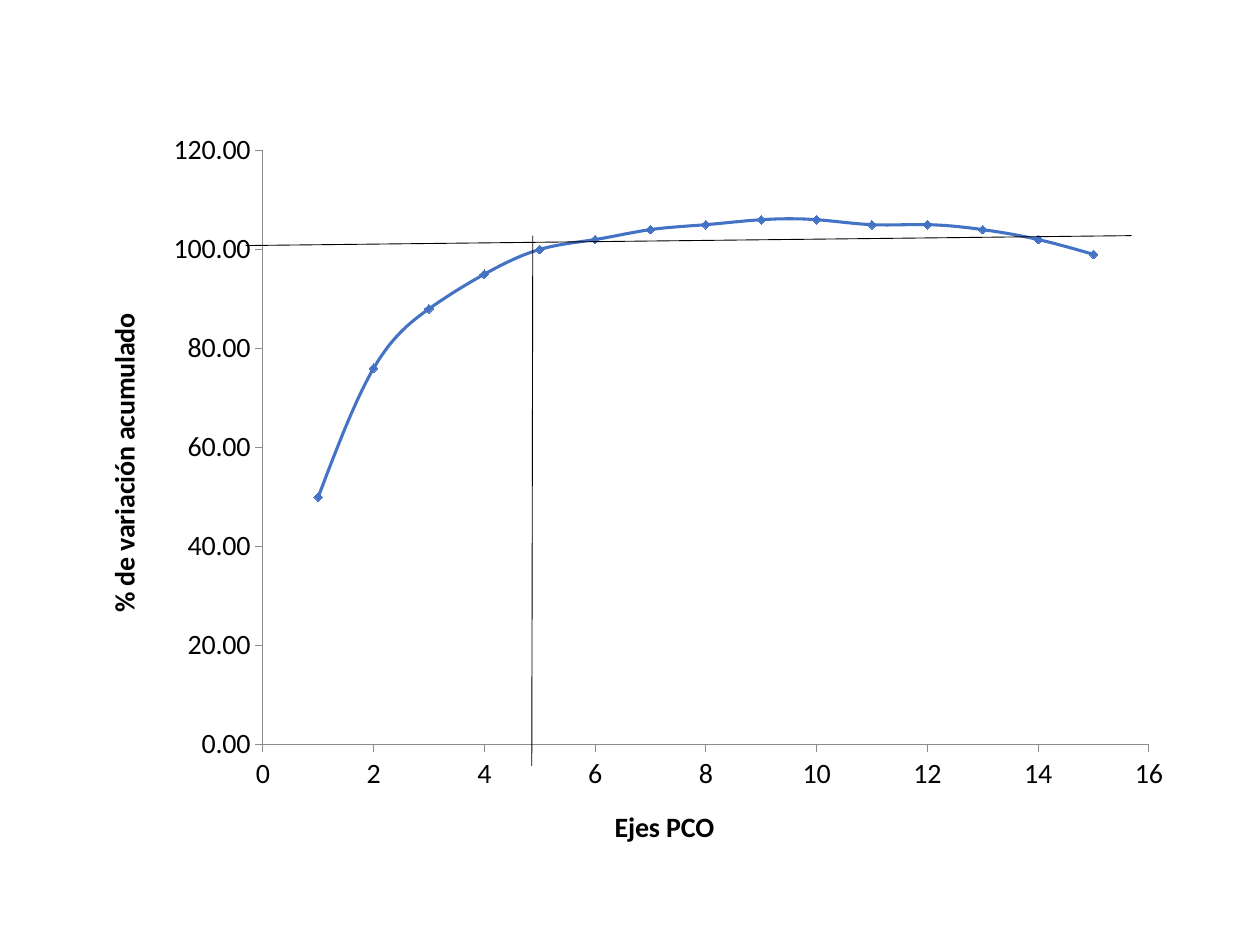
from lxml import etree
from pptx import Presentation
from pptx import util as u
from pptx.chart.data import XyChartData
from pptx.dml.color import RGBColor
from pptx.enum import chart as ch
from pptx.enum import shapes
from pptx.oxml.ns import qn

COLORS = {"text": "000000", "series": "4472C4", "axis": "8B8B8B", "guide": "000000"}
VARIATION = [50, 76, 88, 95, 100, 102, 104, 105, 106, 106, 105, 105, 104, 102, 99]


def rgb(name):
    return RGBColor.from_string(COLORS[name])


def write(tf, content, font="Calibri", size=16, bold=False, color="text"):
    p = tf.paragraphs[0]
    r = p.add_run()
    r.text = content
    r.font.name, r.font.size, r.font.bold = font, u.Pt(size), bold
    r.font.color.rgb = rgb(color)


def place(parent, index, **layout):
    for old in parent.xpath("./c:layout"):
        parent.remove(old)
    node = etree.Element(qn("c:layout"))
    manual = etree.SubElement(node, qn("c:manualLayout"))
    for tag, value in layout.items():
        etree.SubElement(manual, qn(f"c:{tag}"), val=str(value))
    parent.insert(index, node)


class SlideBuilder:
    font = "Calibri"
    size = 16

    def __init__(self, prs):
        self.s = prs.slides.add_slide(prs.slide_layouts[6])

    def axis(self, axis, title, top, step, fmt, x, y, rotation=0):
        axis.minimum_scale, axis.maximum_scale, axis.major_unit = 0, top, step
        axis.has_major_gridlines = False
        axis.major_tick_mark = ch.XL_TICK_MARK.OUTSIDE
        axis.minor_tick_mark = ch.XL_TICK_MARK.NONE
        axis.tick_labels.number_format = fmt
        axis.tick_labels.number_format_is_linked = False
        axis.format.line.color.rgb = rgb("axis")
        axis.format.line.width = u.Pt(0.5)
        tf = axis.axis_title.text_frame
        write(tf, title, self.font, self.size, bold=True)
        body = axis.axis_title.element.xpath(".//a:bodyPr")[0]
        body.set("rot", str(rotation * 60000))
        body.set("vert", "horz")
        place(axis.axis_title.element, 1, xMode="edge", yMode="edge", x=x, y=y)

    def scatter(self, values, left, top, width, height):
        data = XyChartData()
        series = data.add_series("Series 1")
        for x, y in enumerate(values, 1):
            series.add_data_point(x, y)
        chart = self.s.shapes.add_chart(
            ch.XL_CHART_TYPE.XY_SCATTER_SMOOTH, u.Cm(left), u.Cm(top),
            u.Cm(width), u.Cm(height), data).chart
        chart.has_title = chart.has_legend = False
        chart.font.name, chart.font.size = self.font, u.Pt(self.size)
        chart.font.color.rgb = rgb("text")
        plot = chart.plots[0]
        plot.vary_by_categories = False
        curve = plot.series[0]
        curve.format.line.color.rgb = rgb("series")
        curve.format.line.width = u.Pt(1.75)
        curve.marker.style = ch.XL_MARKER_STYLE.DIAMOND
        curve.marker.size = 5
        curve.marker.format.fill.solid()
        curve.marker.format.fill.fore_color.rgb = rgb("series")
        curve.marker.format.line.color.rgb = rgb("series")
        ser = chart.element.xpath(".//c:ser")[0]
        for old in ser.xpath("./c:smooth"):
            ser.remove(old)
        etree.SubElement(ser, qn("c:smooth"), val="1")
        self.axis(chart.category_axis, "Ejes PCO", 16, 2, "General", 0.48, 0.9)
        self.axis(chart.value_axis, "% de variación acumulado", 120, 20, "0.00",
                  0.02, 0.25, rotation=-90)
        place(chart.element.xpath(".//c:plotArea")[0], 0, layoutTarget="inner",
              xMode="edge", yMode="edge", x=0.167, y=0.042, w=0.8, h=0.782)

    def guides(self, *lines):
        group = self.s.shapes.add_group_shape()
        for ends in lines:
            line = group.shapes.add_connector(
                shapes.MSO_CONNECTOR.STRAIGHT, *(u.Cm(v) for v in ends))
            line.line.color.rgb = rgb("guide")
            line.line.width = u.Pt(0.5)
            etree.SubElement(line.element.spPr, qn("a:effectLst"))


def main():
    prs = Presentation()
    prs.slide_width, prs.slide_height = u.Cm(25.4), u.Cm(19.05)
    slide = SlideBuilder(prs)
    slide.scatter(VARIATION, 1.57, 2.39, 22.33, 15.32)
    slide.guides((4.95, 4.95, 22.81, 4.75), (10.72, 15.44, 10.74, 4.75))
    prs.save("out.pptx")


if __name__ == "__main__":
    main()
